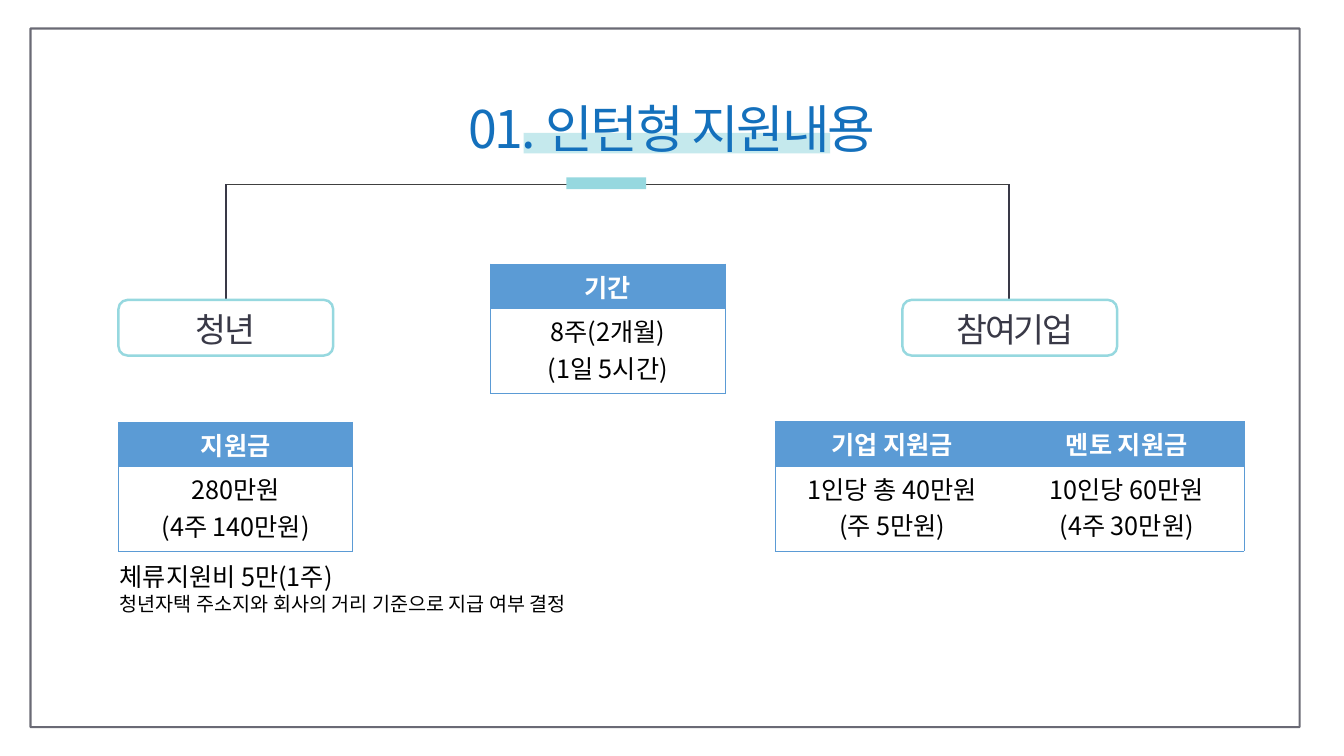
from dataclasses import dataclass

from lxml.etree import SubElement as Sub
from pptx import Presentation
from pptx.dml.color import RGBColor as Rgb
from pptx.enum.shapes import MSO_CONNECTOR as Link, MSO_SHAPE as Kind
from pptx.enum.text import MSO_ANCHOR as Anchor, PP_ALIGN as Align
from pptx.oxml.ns import qn
from pptx.util import Pt

FONT = "Noto Sans CJK KR"
COLORS = {
    "ink": "393947", "rule": "404040", "mint": "96D8DF", "title": "1470BC",
    "blue": "5B9BD5", "white": "FFFFFF", "black": "000000",
}
COL_W, HEAD_H, BODY_H = 167.4, 31.8, 60.8
LINE_Y = 131.8


@dataclass
class Box:
    kind: Kind
    left: float
    top: float
    width: float
    height: float
    fill: str = ""
    line: str = ""
    weight: float = 0
    alpha: int = 100


@dataclass
class Wire:
    x1: float
    y1: float
    x2: float
    y2: float
    color: str = "ink"


@dataclass
class Style:
    size: float
    color: str = "black"
    bold: bool = False
    tight: bool = False
    align: Align = Align.CENTER


@dataclass
class Label:
    left: float
    top: float
    width: float
    height: float
    lines: list[tuple[str, Style]]
    wrap: bool = True


@dataclass
class Grid:
    left: float
    top: float
    heads: list[str]
    bodies: list[list[str]]


def rgb(name: str) -> Rgb:
    return Rgb.from_string(COLORS[name])


def fade(fill, alpha: int) -> None:
    """Set the opacity of a solid fill, in percent."""
    if alpha < 100:
        node = next(fill.iter(qn("a:srgbClr")))
        Sub(node, qn("a:alpha"), val=str(alpha * 1000))


def write(frame, lines: list[tuple[str, Style]]) -> None:
    for i, (text, style) in enumerate(lines):
        para = frame.paragraphs[0] if i == 0 else frame.add_paragraph()
        para.alignment = style.align
        run = para.add_run()
        run.text = text
        form = {"size": Pt(style.size), "bold": style.bold, "name": FONT}
        for key, value in form.items():
            setattr(run.font, key, value)
        run.font.color.rgb = rgb(style.color)
        props = run._r.get_or_add_rPr()
        Sub(props, qn("a:ea"), typeface=FONT)
        if style.tight:
            props.set("spc", "-150")


def draw_box(slide, box: Box) -> None:
    area = map(Pt, (box.left, box.top, box.width, box.height))
    shape = slide.shapes.add_shape(box.kind, *area)
    shape.shadow.inherit = False
    if box.fill:
        shape.fill.solid()
        shape.fill.fore_color.rgb = rgb(box.fill)
    else:
        shape.fill.background()
    if box.line:
        shape.line.color.rgb = rgb(box.line)
        shape.line.width = Pt(box.weight)
    else:
        shape.line.fill.background()
    fade(shape._element.spPr, box.alpha)


def draw_wire(slide, wire: Wire) -> None:
    ends = map(Pt, (wire.x1, wire.y1, wire.x2, wire.y2))
    link = slide.shapes.add_connector(Link.STRAIGHT, *ends)
    link.line.color.rgb = rgb(wire.color)
    link.line.width = Pt(1.25)
    Sub(link._element.spPr, qn("a:effectLst"))


def fill_label(shape, label: Label) -> None:
    for key in ("left", "top", "width", "height"):
        setattr(shape, key, Pt(getattr(label, key)))
    frame = shape.text_frame
    form = {
        "word_wrap": label.wrap, "vertical_anchor": Anchor.MIDDLE,
        "margin_left": Pt(7.2), "margin_right": Pt(7.2),
        "margin_top": 0, "margin_bottom": 0,
    }
    for key, value in form.items():
        setattr(frame, key, value)
    write(frame, label.lines)


def edge(cell, sides: str) -> None:
    """Draw thin blue borders on the given sides and clear the others."""
    props = cell._tc.get_or_add_tcPr()
    for i, side in enumerate("LRTB"):
        line = Sub(props, qn(f"a:ln{side}"), w=str(Pt(0.5)))
        props.insert(i, line)
        if side in sides:
            Sub(Sub(line, qn("a:solidFill")), qn("a:srgbClr"), val=COLORS["blue"])
        else:
            Sub(line, qn("a:noFill"))


def draw_grid(slide, grid: Grid) -> None:
    count = len(grid.heads)
    area = map(Pt, (grid.left, grid.top, COL_W * count, HEAD_H + BODY_H))
    table = slide.shapes.add_table(2, count, *area).table
    for row, height in zip(table.rows, (HEAD_H, BODY_H)):
        row.height = Pt(height)
    for col, (head, body) in enumerate(zip(grid.heads, grid.bodies)):
        table.columns[col].width = Pt(COL_W)
        ends = ("L" if col == 0 else "") + ("R" if col == count - 1 else "")
        parts = (([head], HEAD, "blue", "T"), (body, BODY, "white", "TB"))
        for row, (lines, style, fill, sides) in enumerate(parts):
            cell = table.cell(row, col)
            cell.margin_top = cell.margin_bottom = Pt(2.8)
            cell.fill.solid()
            cell.fill.fore_color.rgb = rgb(fill)
            edge(cell, sides + ends)
            write(cell.text_frame, [(line, style) for line in lines])


HEAD = Style(18, "white", bold=True)
BODY = Style(18)
GROUP = Style(24, "ink", tight=True)
FRAME = Box(Kind.RECTANGLE, 21.8, 20.4, 906.5, 499, "", "ink", 1.5, 75)
STRIP = Box(Kind.RECTANGLE, 374, 95, 219, 14.6, "mint", alpha=55)
TAB = Box(Kind.RECTANGLE, 404.5, 126.8, 57, 8.4, "mint")
PILLS = [
    Box(Kind.ROUNDED_RECTANGLE, left, 214.2, 153.4, 39.8, "", "mint", 1.75)
    for left in (84.6, 644.6)
]
WIRES = [
    Wire(161.3, LINE_Y, 721.3, LINE_Y, "rule"),
    Wire(161.3, 214.2, 161.3, LINE_Y),
    Wire(720.7, 214.2, 720.7, LINE_Y),
]
TITLE = Label(313.2, 65.5, 333.4, 51.8,
              [("01. 인턴형 지원내용", Style(37, "title", tight=True))], False)
LABELS = [
    Label(78.5, 216.7, 164.9, 36, [("청년", GROUP)]),
    Label(576, 216.7, 298, 36, [("참여기업", GROUP)]),
    Label(78.5, 397.4, 374.4, 46.1, [
        ("체류지원비 5만(1주)", Style(18, align=Align.LEFT)),
        ("청년자택 주소지와 회사의 거리 기준으로 지급 여부 결정",
         Style(14, align=Align.LEFT)),
    ], False),
]
GRIDS = [
    Grid(84.6, 301.5, ["지원금"], [["280만원", "(4주 140만원)"]]),
    Grid(553.7, 301, ["기업 지원금", "멘토 지원금"],
         [["1인당 총 40만원", "(주 5만원)"], ["10인당 60만원", "(4주 30만원)"]]),
    Grid(350.4, 188.6, ["기간"], [["8주(2개월)", "(1일 5시간)"]]),
]


def main() -> None:
    deck = Presentation()
    deck.slide_width, deck.slide_height = Pt(960), Pt(540)
    slide = deck.slides.add_slide(deck.slide_layouts[5])
    draw_box(slide, FRAME)
    for wire in WIRES:
        draw_wire(slide, wire)
    for box in (STRIP, TAB, *PILLS):
        draw_box(slide, box)
    title = slide.shapes.title
    fill_label(title, TITLE)
    slide.shapes._spTree.append(title._element)
    for label in LABELS:
        fill_label(slide.shapes.add_textbox(0, 0, 0, 0), label)
    for grid in GRIDS:
        draw_grid(slide, grid)
    deck.save("out.pptx")


if __name__ == "__main__":
    main()
